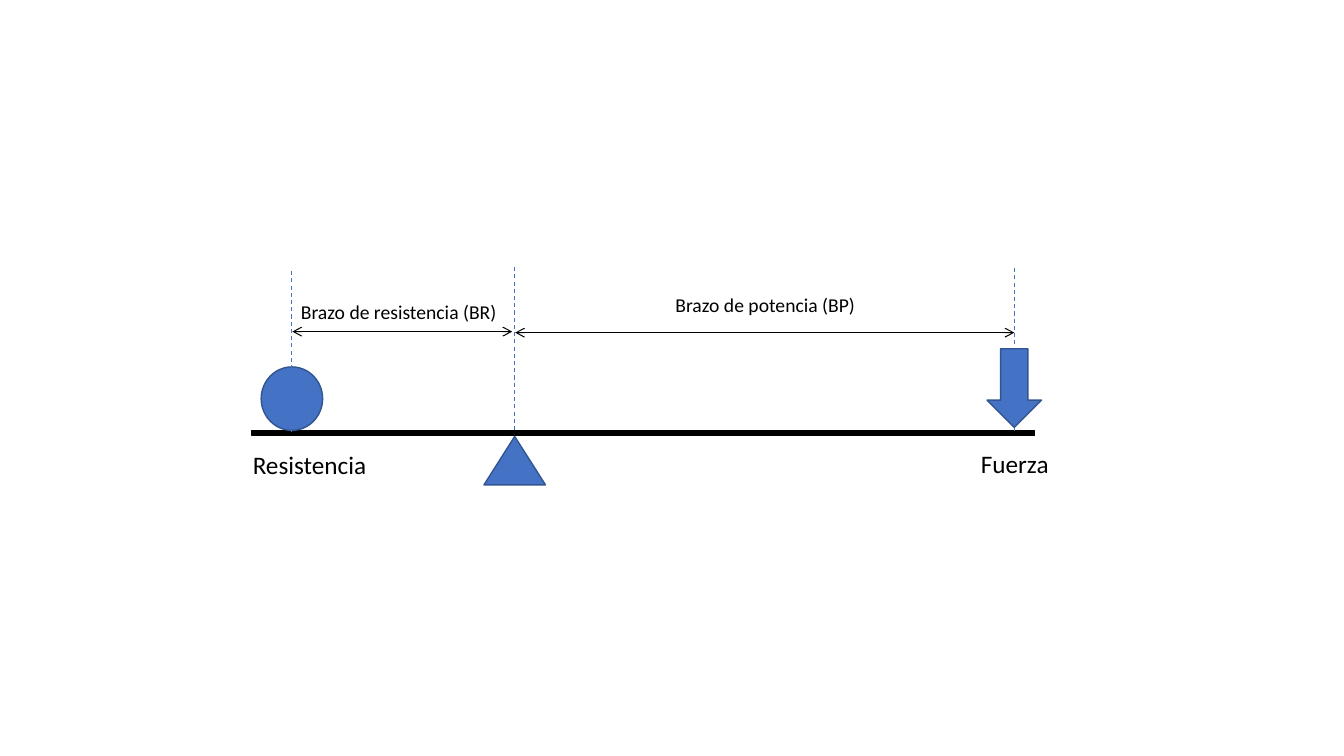
from lxml import etree
from pptx import Presentation
from pptx import util as u
from pptx.dml.color import RGBColor
from pptx.enum import dml, shapes, text
from pptx.oxml.ns import qn

BLACK, WHITE, BLUE, EDGE = "000000", "FFFFFF", "4472C4", "325491"
KIND = shapes.MSO_SHAPE


def add_form(kind, box, fill, edge=None):
    """Add a filled shape, outlined only if an edge colour is given."""
    form = slide.shapes.add_shape(kind, *map(u.Inches, box))
    form.shadow.inherit = False
    form.fill.solid()
    form.fill.fore_color.rgb = RGBColor.from_string(fill)
    if edge:
        form.line.color.rgb = RGBColor.from_string(edge)
        form.line.width = u.Pt(1)
    else:
        form.line.fill.background()
    return form


def add_line(start, end, color):
    """Add a thin straight line without a shadow."""
    line = slide.shapes.add_connector(
        shapes.MSO_CONNECTOR.STRAIGHT, *map(u.Inches, start + end))
    line.line.color.rgb = RGBColor.from_string(color)
    line.line.width = u.Pt(0.75)
    etree.SubElement(line._element.spPr, qn("a:effectLst"))
    return line


deck = Presentation()
deck.slide_width, deck.slide_height = u.Inches(13.33), u.Inches(7.5)
slide = deck.slides.add_slide(deck.slide_layouts[6])

# Lever bar, pivot and load
add_form(KIND.RECTANGLE, (2.5, 4.27, 7.76, 0.05), BLACK, BLACK)
add_form(KIND.ISOSCELES_TRIANGLE, (4.8, 4.33, 0.61, 0.48), BLUE, EDGE)
add_form(KIND.OVAL, (2.59, 3.64, 0.61, 0.63), BLUE, EDGE)

# Labels of the arms and the forces
labels = [
    ("Brazo de potencia (BP)", 14, (6.28, 2.87, 2.62, 0.31)),
    ("Brazo de resistencia (BR)", 14, (2.72, 2.94, 2.47, 0.3)),
    ("Fuerza", 18, (9.3, 4.43, 1.53, 0.34)),
    ("Resistencia", 18, (2.3, 4.43, 1.54, 0.35)),
]
for words, size, box in labels:
    frame = add_form(KIND.RECTANGLE, box, WHITE).text_frame
    frame.word_wrap = True
    frame.vertical_anchor = text.MSO_ANCHOR.MIDDLE
    para = frame.paragraphs[0]
    para.text = words
    para.alignment = text.PP_ALIGN.CENTER
    para.font.name = "Calibri"
    para.font.size = u.Pt(size)
    para.font.color.rgb = RGBColor.from_string(BLACK)

# Double arrows that measure the arms
for left, right, y in [(5.11, 10.06, 3.3), (2.9, 5.08, 3.29)]:
    arm = add_line((left, y), (right, y), BLACK)
    stroke = arm.line._get_or_add_ln()
    for tip in ("a:headEnd", "a:tailEnd"):
        etree.SubElement(stroke, qn(tip), type="arrow")

# Dashed guides through load, pivot and force
for x, top, foot in [(2.89, 2.69, 4.29), (5.1, 2.65, 4.27), (10.06, 2.66, 4.28)]:
    guide = add_line((x, top), (x, foot), BLUE)
    guide.line.dash_style = dml.MSO_LINE.DASH

# Applied force
add_form(KIND.DOWN_ARROW, (9.79, 3.46, 0.54, 0.78), BLUE, EDGE)

deck.save("out.pptx")
